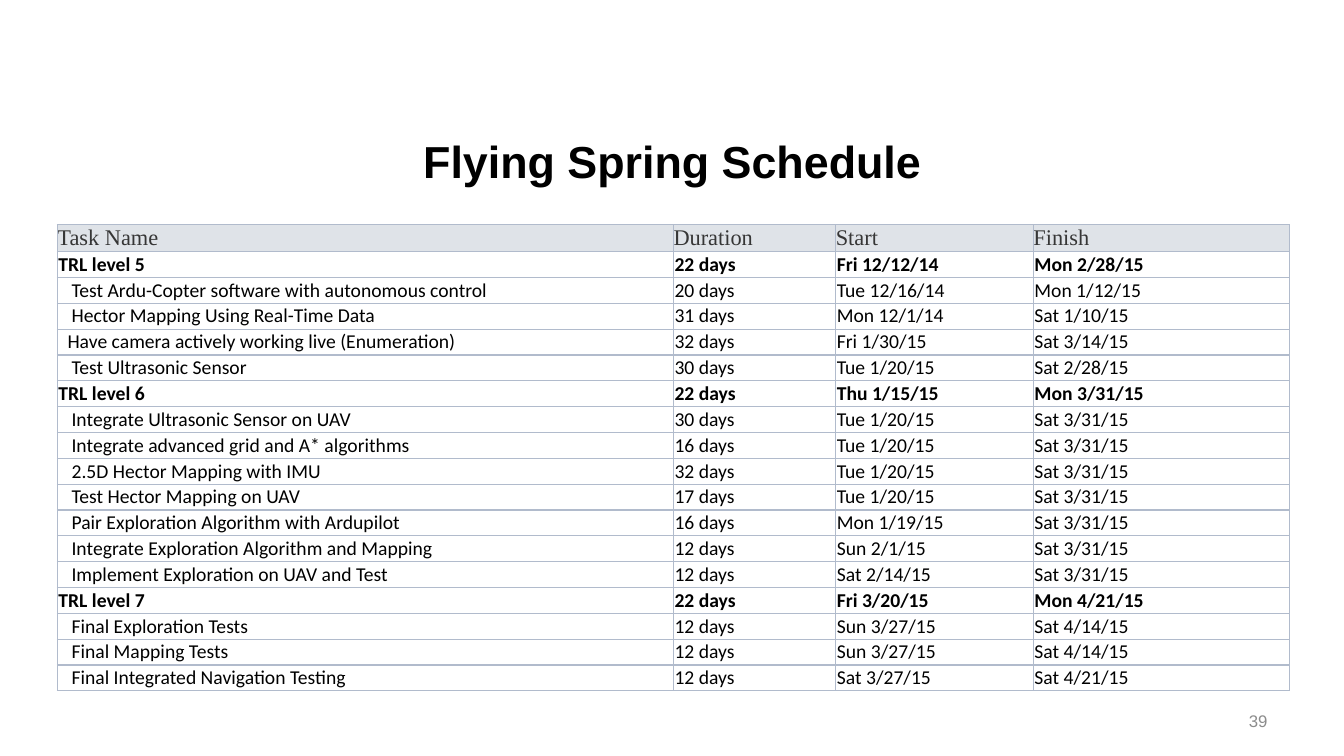
"""Build the Flying Spring Schedule slide."""
import pptx
import pptx.dml.color
import pptx.enum.text
import pptx.oxml
import pptx.oxml.ns
import pptx.util

Inches = pptx.util.Inches
ALIGN = pptx.enum.text.PP_ALIGN
MIDDLE = pptx.enum.text.MSO_ANCHOR.MIDDLE

TITLE = "Flying Spring Schedule"
PAGE_NUMBER = "39"
HEADINGS = ("Task Name", "Duration", "Start", "Finish")
PHASE, TASK, CAMERA_TASK = 0, 0.13, 0.09
SCHEDULE = [
    (PHASE, "TRL level 5", "22 days", "Fri 12/12/14", "Mon 2/28/15"),
    (TASK, "Test Ardu-Copter software with autonomous control", "20 days", "Tue 12/16/14", "Mon 1/12/15"),
    (TASK, "Hector Mapping Using Real-Time Data", "31 days", "Mon 12/1/14", "Sat 1/10/15"),
    (CAMERA_TASK, "Have camera actively working live (Enumeration)", "32 days", "Fri 1/30/15", "Sat 3/14/15"),
    (TASK, "Test Ultrasonic Sensor", "30 days", "Tue 1/20/15", "Sat 2/28/15"),
    (PHASE, "TRL level 6", "22 days", "Thu 1/15/15", "Mon 3/31/15"),
    (TASK, "Integrate Ultrasonic Sensor on UAV", "30 days", "Tue 1/20/15", "Sat 3/31/15"),
    (TASK, "Integrate advanced grid and A* algorithms", "16 days", "Tue 1/20/15", "Sat 3/31/15"),
    (TASK, "2.5D Hector Mapping with IMU", "32 days", "Tue 1/20/15", "Sat 3/31/15"),
    (TASK, "Test Hector Mapping on UAV", "17 days", "Tue 1/20/15", "Sat 3/31/15"),
    (TASK, "Pair Exploration Algorithm with Ardupilot", "16 days", "Mon 1/19/15", "Sat 3/31/15"),
    (TASK, "Integrate Exploration Algorithm and Mapping", "12 days", "Sun 2/1/15", "Sat 3/31/15"),
    (TASK, "Implement Exploration on UAV and Test", "12 days", "Sat 2/14/15", "Sat 3/31/15"),
    (PHASE, "TRL level 7", "22 days", "Fri 3/20/15", "Mon 4/21/15"),
    (TASK, "Final Exploration Tests", "12 days", "Sun 3/27/15", "Sat 4/14/15"),
    (TASK, "Final Mapping Tests", "12 days", "Sun 3/27/15", "Sat 4/14/15"),
    (TASK, "Final Integrated Navigation Testing", "12 days", "Sat 3/27/15", "Sat 4/21/15"),
]
COLUMN_WIDTHS = (6.11, 1.61, 1.96, 2.54)
TABLE_LEFT, TABLE_TOP, TABLE_HEIGHT = 0.57, 2.23, 4.62
BORDER = "B1BBCC"


def color(hex_code):
    return pptx.dml.color.RGBColor.from_string(hex_code)


def write(frame, text, *, size, font, ink="000000", bold=False, align=ALIGN.LEFT):
    frame.word_wrap = True
    paragraph = frame.paragraphs[0]
    paragraph.alignment = align
    run = paragraph.add_run()
    run.text = text
    run.font.size = pptx.util.Pt(size)
    run.font.name = font
    run.font.bold = bold
    run.font.color.rgb = color(ink)


def style_cell(cell, fill, inset, indent=0):
    cell.vertical_anchor = MIDDLE
    cell.margin_left = Inches(inset + indent)
    cell.margin_right = cell.margin_top = cell.margin_bottom = Inches(inset)
    cell.fill.solid()
    cell.fill.fore_color.rgb = color(fill)
    properties = cell._tc.get_or_add_tcPr()
    for position, side in enumerate("LRTB"):
        properties.insert(position, pptx.oxml.parse_xml(
            f'<a:ln{side} {pptx.oxml.ns.nsdecls("a")} w="{pptx.util.Pt(1)}">'
            f'<a:solidFill><a:srgbClr val="{BORDER}"/></a:solidFill></a:ln{side}>'))


def add_schedule(slide):
    row_count = len(SCHEDULE) + 1
    table = slide.shapes.add_table(
        row_count, len(HEADINGS), Inches(TABLE_LEFT), Inches(TABLE_TOP),
        Inches(sum(COLUMN_WIDTHS)), Inches(TABLE_HEIGHT)).table
    table.horz_banding = False
    for column, width in zip(table.columns, COLUMN_WIDTHS):
        column.width = Inches(width)
    for row in table.rows:
        row.height = Inches(TABLE_HEIGHT / row_count)
    for column, heading in enumerate(HEADINGS):
        cell = table.cell(0, column)
        style_cell(cell, "DFE3E8", 0)
        write(cell.text_frame, heading, size=16, font="Times New Roman", ink="363636")
    for row, (indent, *entries) in enumerate(SCHEDULE, start=1):
        for column, entry in enumerate(entries):
            cell = table.cell(row, column)
            style_cell(cell, "FFFFFF", 0.01, indent if column == 0 else 0)
            write(cell.text_frame, entry, size=14, font="Calibri", bold=indent == PHASE)


def main():
    deck = pptx.Presentation()
    deck.slide_width, deck.slide_height = Inches(13.33), Inches(7.5)
    slide = deck.slides.add_slide(deck.slide_layouts[5])

    title = slide.shapes.title
    title.left, title.top, title.width, title.height = map(Inches, (0.67, 1.15, 12, 0.88))
    title.text_frame.vertical_anchor = MIDDLE
    write(title.text_frame, TITLE, size=32, font="Arial", bold=True, align=ALIGN.CENTER)

    page = slide.shapes.add_textbox(*map(Inches, (9.56, 6.95, 3.11, 0.4)))
    page.text_frame.vertical_anchor = MIDDLE
    write(page.text_frame, PAGE_NUMBER, size=12, font="Arial", ink="8C8C8C", align=ALIGN.RIGHT)

    add_schedule(slide)
    deck.save("out.pptx")


if __name__ == "__main__":
    main()
